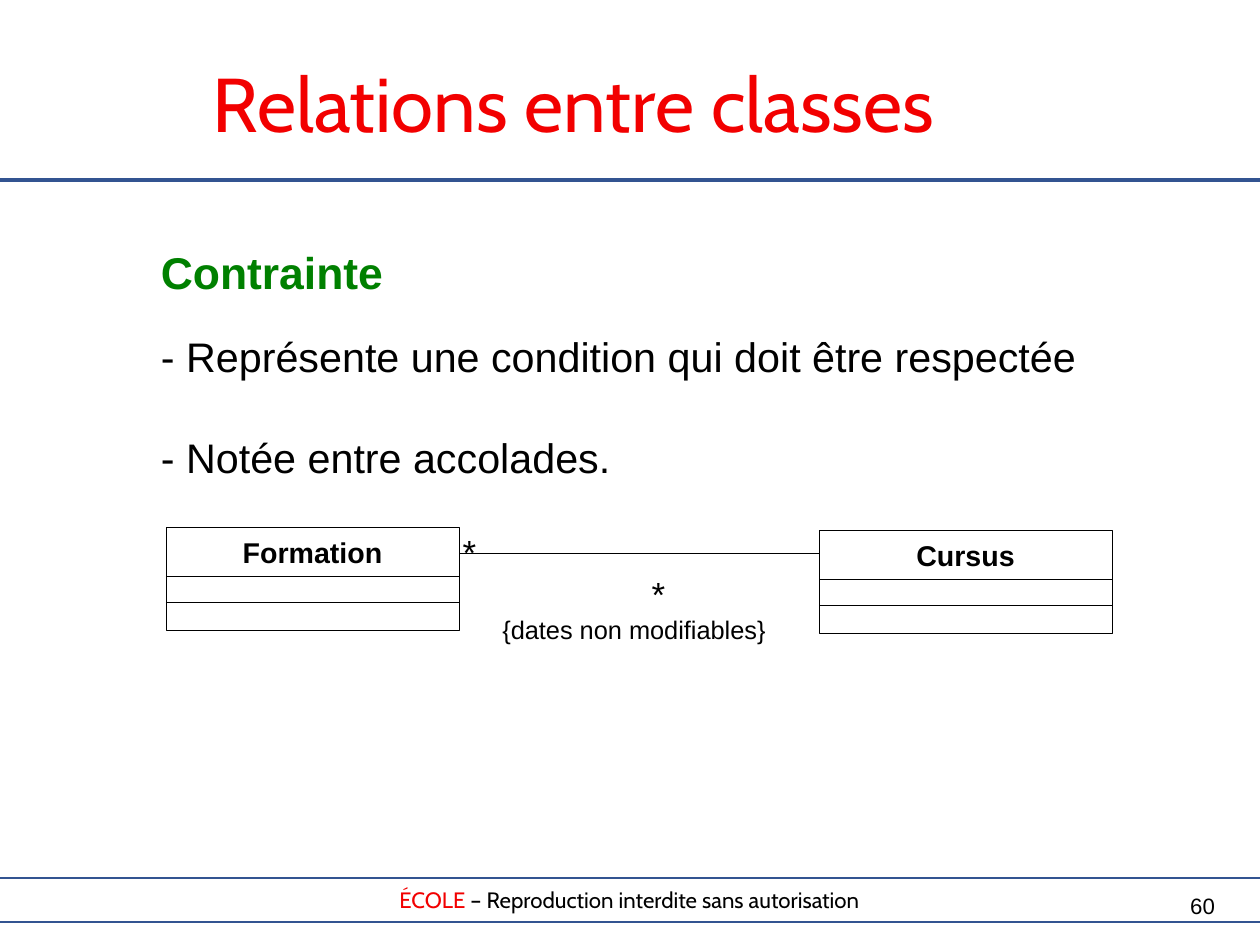
from lxml.etree import SubElement
from pptx import Presentation
from pptx.dml.color import RGBColor
from pptx.enum.shapes import MSO_CONNECTOR, MSO_SHAPE
from pptx.enum.text import MSO_ANCHOR, PP_ALIGN
from pptx.oxml.ns import qn
from pptx.util import Pt

PX = 8000
RED, BLUE, GREEN, BLACK = "F20000", "325491", "008000", "000000"
LEFT, CENTER, RIGHT = PP_ALIGN.LEFT, PP_ALIGN.CENTER, PP_ALIGN.RIGHT


def write(shape, paragraphs, align=CENTER, anchor=MSO_ANCHOR.TOP, inset=(0, 0)):
    """Fill a shape with paragraphs given as (points before, runs);
    a run is (text, size, colour, font, bold)."""
    frame = shape.text_frame
    side, top = (value * PX for value in inset)
    layout = {"word_wrap": True, "vertical_anchor": anchor, "margin_left": side,
              "margin_right": side, "margin_top": top, "margin_bottom": top}
    for name, value in layout.items():
        setattr(frame, name, value)
    for index, (before, runs) in enumerate(paragraphs):
        paragraph = frame.add_paragraph() if index else frame.paragraphs[0]
        paragraph.alignment = align
        paragraph.space_before = Pt(before)
        for text, size, colour, font, bold in runs:
            run = paragraph.add_run()
            run.text = text
            for name, value in {"size": Pt(size), "name": font, "bold": bold}.items():
                setattr(run.font, name, value)
            run.font.color.rgb = RGBColor.from_string(colour)


def rule(x1, x2, y, colour, width):
    """Draw a horizontal line."""
    line = slide.shapes.add_connector(
        MSO_CONNECTOR.STRAIGHT, x1 * PX, y * PX, x2 * PX, y * PX)
    line.line.color.rgb = RGBColor.from_string(colour)
    line.line.width = Pt(width)
    SubElement(line._element.spPr, qn("a:effectLst"))


prs = Presentation()
prs.slide_width, prs.slide_height = 1260 * PX, 945 * PX
slide = prs.slides.add_slide(prs.slide_layouts[5])

title = slide.shapes.title
for name, value in {"left": 45, "top": 23, "width": 1057, "height": 158}.items():
    setattr(title, name, value * PX)
write(title, [(0, [("Relations entre classes", 48, RED, "Cabin", False)])],
      anchor=MSO_ANCHOR.MIDDLE)
rule(0, 1260, 180, BLUE, 2.83)

# Frames: the footer band and the two classes
CLASS_WIDTH, CLASS_HEIGHT = 293, 103
footer = [("ÉCOLE", 14, RED, "Cabin", False),
          (" – Reproduction interdite sans autorisation", 14, BLACK, "Cabin", False)]
frames = [(-23, 878, 1305, 44, BLUE, 1.42, footer, MSO_ANCHOR.MIDDLE, 1)]
classes = [("Formation", 166, 527), ("Cursus", 819, 530)]
for class_name, x, y in classes:
    frames.append((x, y, CLASS_WIDTH, CLASS_HEIGHT, BLACK, 0.5,
                   [(class_name, 18, BLACK, "Arial", True)], MSO_ANCHOR.TOP, 8))
for x, y, width, height, colour, weight, runs, anchor, inset in frames:
    frame = slide.shapes.add_shape(
        MSO_SHAPE.RECTANGLE, x * PX, y * PX, width * PX, height * PX)
    frame.shadow.inherit = False
    frame.fill.background()
    frame.line.color.rgb = RGBColor.from_string(colour)
    frame.line.width = Pt(weight)
    write(frame, [(0, runs)], anchor=anchor, inset=(inset, inset))

for _, x, y in classes:
    for offset in (49, 75):
        rule(x, x + CLASS_WIDTH, y + offset, BLACK, 0.5)
rule(classes[0][1] + CLASS_WIDTH, classes[1][1], 553, BLACK, 0.5)

constraint = slide.shapes.add_textbox(150 * PX, 239 * PX, 1000 * PX, 242 * PX)
write(constraint, [
    (0, [("Contrainte", 28, GREEN, "Arial", True)]),
    (20.5, [("- Représente une condition qui doit être respectée", 26, BLACK, "Arial", False)]),
    (32.5, [("- Notée entre accolades.", 26, BLACK, "Arial", False)]),
], align=LEFT, inset=(11, 6))

labels = [
    ("*", 459, 531, 21, 40, 22, CENTER),
    ("*", 648, 573, 21, 40, 22, CENTER),
    ("{dates non modifiables}", 484, 614, 300, 30, 16, CENTER),
    ("60", 1170, 892, 45, 48, 14, RIGHT),
]
for text, x, y, width, height, size, align in labels:
    label = slide.shapes.add_textbox(x * PX, y * PX, width * PX, height * PX)
    write(label, [(0, [(text, size, BLACK, "Arial", False)])], align=align)

prs.save("out.pptx")
